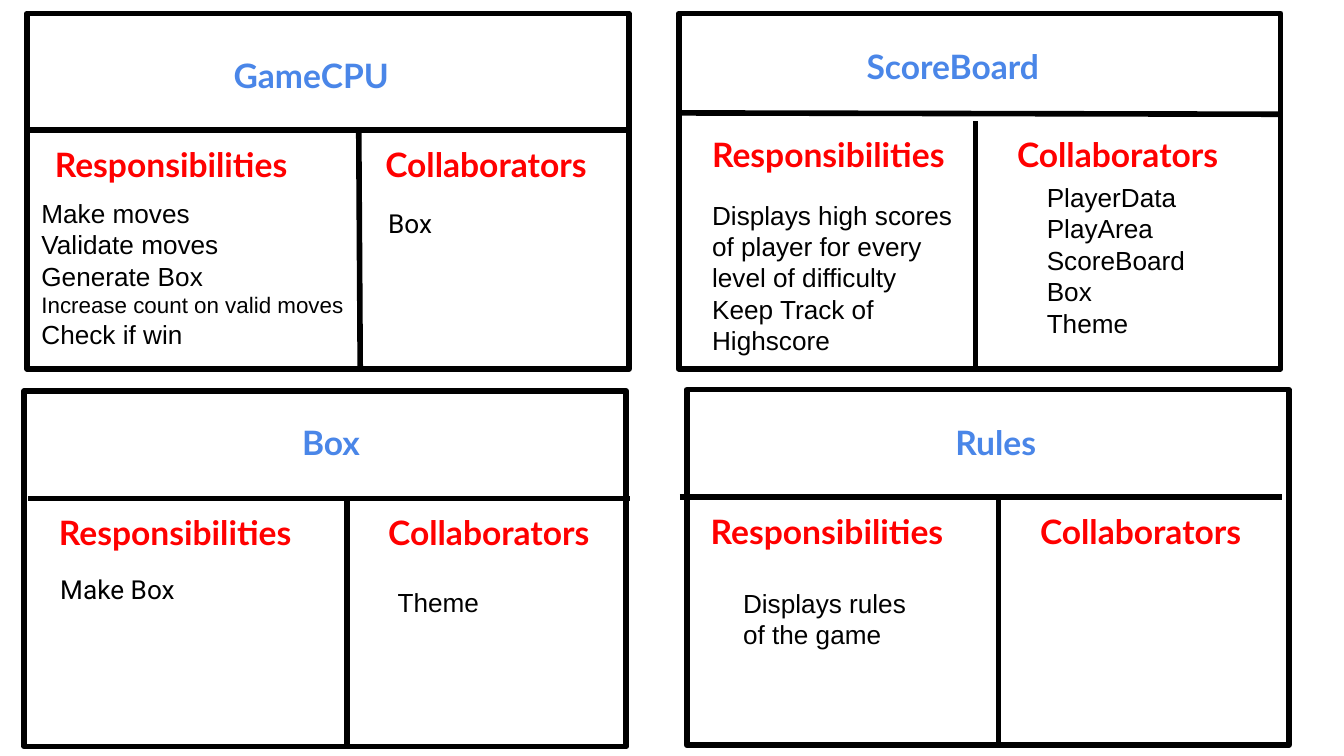
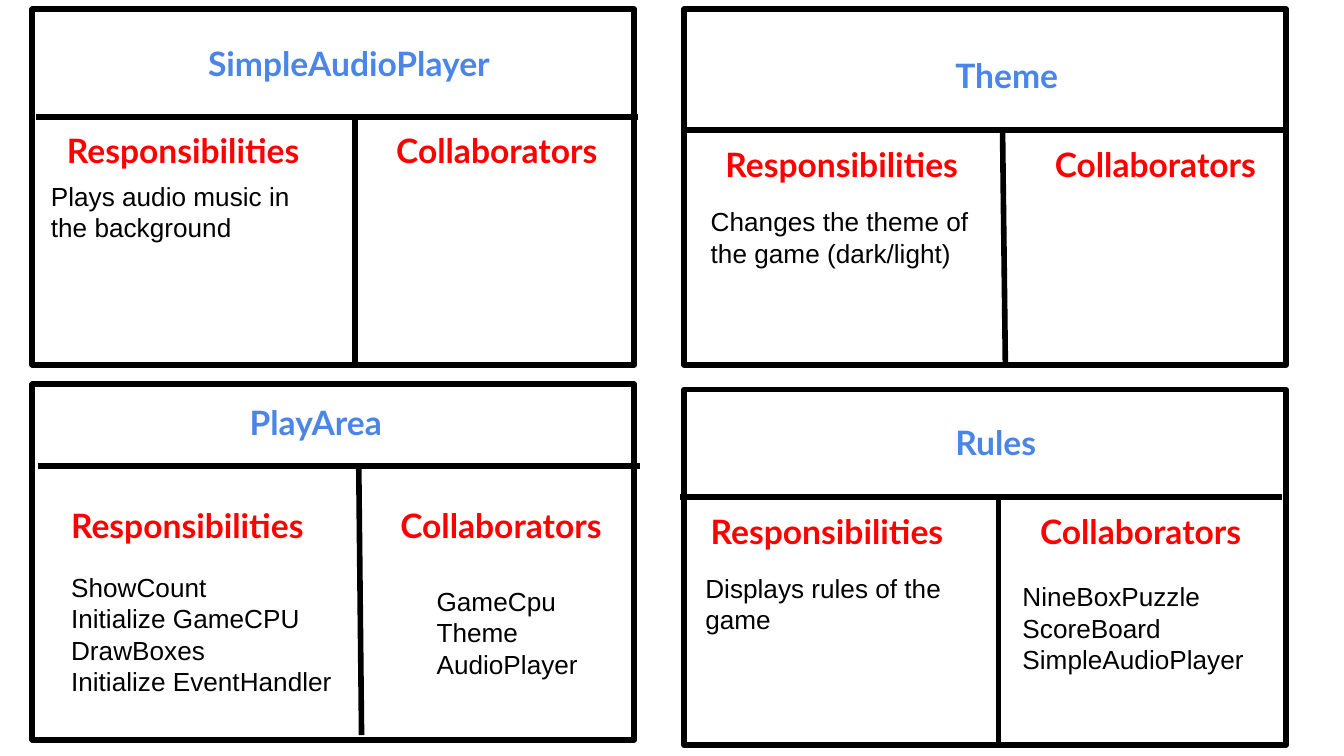
from lxml import etree
from pptx import Presentation
from pptx.dml.color import RGBColor
from pptx.enum.shapes import MSO_CONNECTOR, MSO_SHAPE
from pptx.oxml.ns import qn
from pptx.util import Pt

RECT = MSO_SHAPE.RECTANGLE
STRAIGHT = MSO_CONNECTOR.STRAIGHT

# Shared look of the cards
BLACK, WHITE, BLUE, RED = "000000", "FFFFFF", "4A86E8", "FF0000"
CARD_W, CARD_H = 322.5, 190.5
LINE_W = 3
HEAD_H = 39.6
INSET = 7.2
SMALL = {"Increase count on valid moves": 12}


def rgb(value):
    return RGBColor.from_string(value)


def add_text(s, box, lines, font, size, color, bold=False):
    sp = s.shapes.add_textbox(*[Pt(v) for v in box])
    tf = sp.text_frame
    tf.word_wrap = True
    tf.margin_left = tf.margin_right = tf.margin_top = tf.margin_bottom = Pt(INSET)
    tf.text = "\n".join(lines)
    for p in tf.paragraphs:
        for r in p.runs:
            r.font.name = font
            r.font.size = Pt(SMALL.get(r.text, size))
            r.font.bold = bold
            r.font.color.rgb = rgb(color)


# Each card: name, name position and width, corner, rule and divider ends,
# heading positions (left x, right x, y), body texts (box, font, lines)
rules_card = dict(
    name="Rules", title=(504.7, 218.9, 146.2),
    rule=(364.3, 266.4, 686.9, 266.4), divider=(535, 398.2, 535, 266.4),
    heads=(373.7, 550.1, 266.4))

slides = [
    [
        dict(name="ScoreBoard", title=(457.2, 17.3, 146.2), corner=(363.6, 7.2),
             rule=(365, 60.5, 685.4, 61.2), divider=(522.7, 196.6, 522.7, 64.8),
             heads=(374.4, 537.8, 64.8),
             bodies=[((374.4, 99.4, 145.4, 92.9), "Arial",
                      ["Displays high scores of player for every level of difficulty",
                       "Keep Track of Highscore"]),
                     ((553.7, 90, 95, 102.2), "Arial",
                      ["PlayerData", "PlayArea", "ScoreBoard", "Box", "Theme"])]),
        dict(name="Box", title=(154.8, 218.9, 146.2), corner=(13, 209.5),
             rule=(15.1, 267.1, 337.7, 267.1), divider=(185.8, 398.9, 185.8, 267.1),
             heads=(24.5, 200.9, 267.1),
             bodies=[((25.2, 300.2, 146.2, 92.9), "Roboto", ["Make Box"]),
                     ((205.9, 306.7, 95, 80.6), "Arial", ["Theme"])]),
        dict(rules_card, corner=(367.9, 208.8),
             bodies=[((391, 307.4, 115.2, 65.5), "Arial",
                      ["Displays rules of the game"])]),
        dict(name="GameCPU", title=(118.1, 22.3, 146.2), corner=(14.4, 7.2),
             rule=(13, 69.8, 335.5, 69.8), divider=(193, 198.7, 192.2, 69.8),
             heads=(22.3, 199.4, 69.8),
             bodies=[((15.1, 98.6, 177.1, 98.6), "Arial",
                      ["Make moves", "Validate moves", "Generate Box",
                       "Increase count on valid moves", "Check if win"]),
                     ((200.9, 103.7, 115.2, 80.6), "Roboto", ["Box"])]),
    ],
    [
        dict(name="Theme", title=(504.7, 22.3, 146.2), corner=(366.5, 5),
             rule=(366.5, 69.8, 689, 69.8), divider=(538.6, 195.1, 537.1, 69.8),
             heads=(381.6, 558, 69.8),
             bodies=[((373.7, 103, 161.3, 93.6), "Arial",
                      ["Changes the theme of the game (dark/light)"])]),
        dict(name="PlayArea", title=(126.7, 208.1, 146.2), corner=(17.3, 205.9),
             rule=(20.2, 249.8, 342.7, 249.8), divider=(193.7, 393.8, 192.2, 249.8),
             heads=(31, 207.4, 263.5),
             bodies=[((31, 298.8, 166.3, 69.8), "Arial",
                      ["ShowCount", "Initialize GameCPU", "DrawBoxes",
                       "Initialize EventHandler"]),
                     ((226.8, 306.3, 95, 68.8), "Arial",
                      ["GameCpu", "Theme", "AudioPlayer"])]),
        dict(rules_card, corner=(366.5, 208.8),
             bodies=[((370.8, 299.5, 156.2, 93.6), "Arial",
                      ["Displays rules of the game"]),
                     ((540.7, 303.8, 136.8, 85.7), "Arial",
                      ["NineBoxPuzzle", "ScoreBoard", "SimpleAudioPlayer"])]),
        dict(name="SimpleAudioPlayer", title=(104.4, 15.8, 173.5), corner=(17.3, 5),
             rule=(19.4, 62.6, 342, 62.6), divider=(190.1, 194.4, 190.1, 62.6),
             heads=(28.8, 205.2, 62.6),
             bodies=[((20.2, 89.3, 161.3, 99.4), "Arial",
                      ["Plays audio music in the background"])]),
    ],
]

prs = Presentation()
prs.slide_width, prs.slide_height = Pt(720), Pt(405)

for cards in slides:
    s = prs.slides.add_slide(prs.slide_layouts[6])
    for card in cards:
        # Frame with rounded joins
        x, y = card["corner"]
        sp = s.shapes.add_shape(RECT, Pt(x), Pt(y), Pt(CARD_W), Pt(CARD_H))
        sp.shadow.inherit = False
        sp.fill.solid()
        sp.fill.fore_color.rgb = rgb(WHITE)
        sp.line.color.rgb = rgb(BLACK)
        sp.line.width = Pt(LINE_W)
        etree.SubElement(sp.line._get_or_add_ln(), qn("a:round"))

        # Rule below the name and divider between the columns
        for ends in (card["rule"], card["divider"]):
            line = s.shapes.add_connector(STRAIGHT, *[Pt(v) for v in ends])
            line.line.color.rgb = rgb(BLACK)
            line.line.width = Pt(LINE_W)
            etree.SubElement(line._element.spPr, qn("a:effectLst"))

        # Name and column headings
        left, right, top = card["heads"]
        add_text(s, (*card["title"], HEAD_H), [card["name"]], "Lato", 18, BLUE, True)
        add_text(s, (left, top, 156.2, HEAD_H), ["Responsibilities"], "Lato", 18, RED, True)
        add_text(s, (right, top, 146.2, HEAD_H), ["Collaborators"], "Lato", 18, RED, True)

        # Column texts
        for box, font, lines in card["bodies"]:
            add_text(s, box, lines, font, 14, BLACK)

prs.save("out.pptx")
